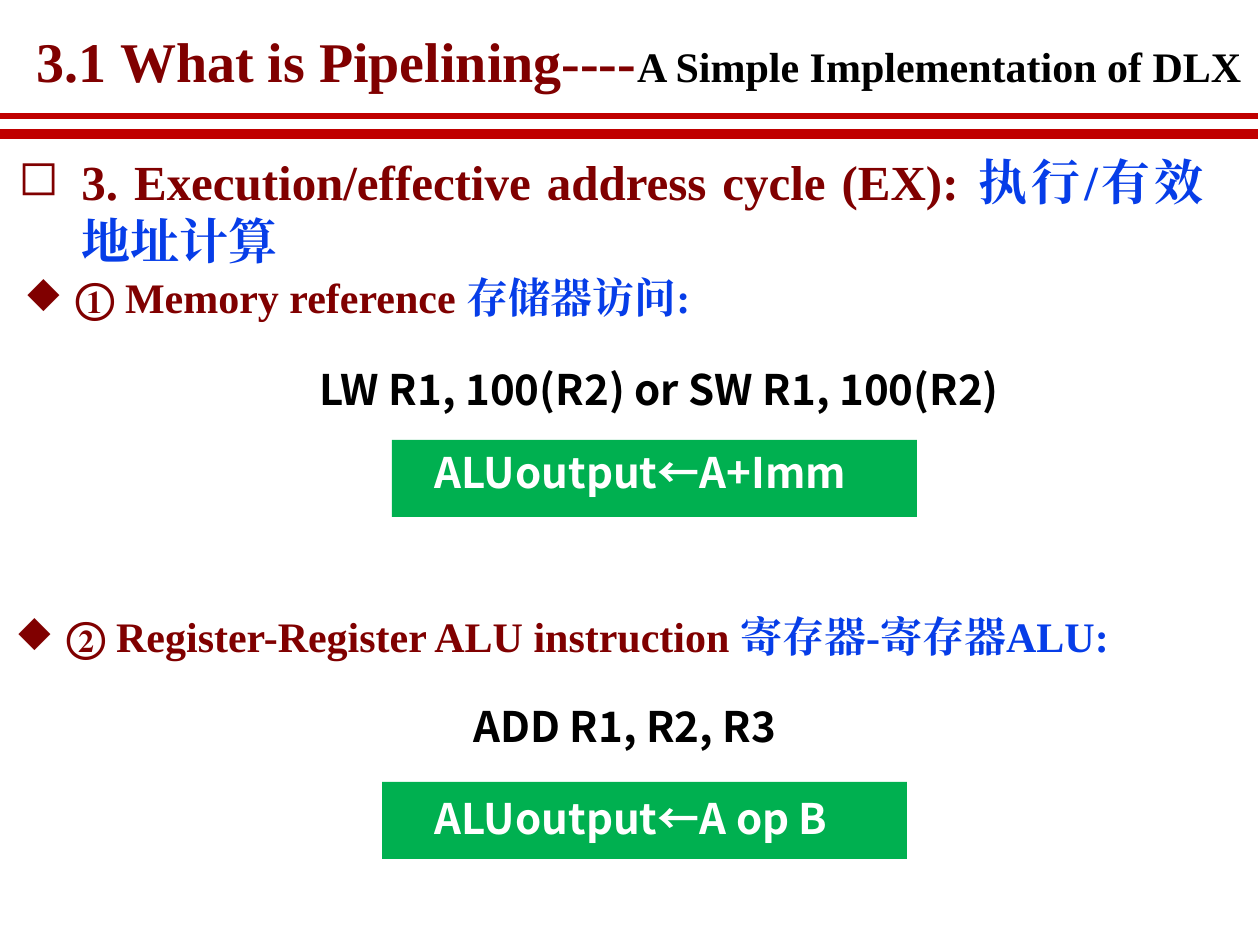
from pptx import Presentation
from pptx.dml.color import RGBColor
from pptx.enum.shapes import MSO_CONNECTOR, MSO_SHAPE
from pptx.enum.text import MSO_ANCHOR, MSO_AUTO_SIZE, PP_ALIGN
from pptx.oxml.ns import qn
from pptx.util import Emu, Pt

MAROON = RGBColor(0x80, 0x00, 0x00)
RED = RGBColor(0xC0, 0x00, 0x00)
BLUE = RGBColor(0x06, 0x3D, 0xE8)
GREEN = RGBColor(0x00, 0xB0, 0x50)
BLACK = RGBColor(0x00, 0x00, 0x00)
WHITE = RGBColor(0xFF, 0xFF, 0xFF)

STRAIGHT = MSO_CONNECTOR.STRAIGHT
RECTANGLE = MSO_SHAPE.RECTANGLE
GROW = MSO_AUTO_SIZE.SHAPE_TO_FIT_TEXT
TOP = MSO_ANCHOR.TOP
LEFT = PP_ALIGN.LEFT
JUSTIFY = PP_ALIGN.JUSTIFY

SERIF = "Times New Roman"
SANS = "Noto Sans CJK SC"
PX_PER_INCH = 126
TITLE_ONLY = 5


def px(length):
    return Emu(round(length * 914400 / PX_PER_INCH))


class SlideWriter:
    def __init__(self, slide):
        self.slide = slide

    def add_span(self, para, text, size, color, font=SERIF):
        span = para.add_run()
        span.text = text
        span.font.name = font
        span.font.size = Pt(size)
        span.font.bold = True
        span.font.color.rgb = color
        properties = span.font._element
        east_asian = properties.makeelement(qn("a:ea"), {"typeface": font})
        properties.find(qn("a:latin")).addnext(east_asian)

    def title(self, left, top, width, height, spans):
        box = self.slide.shapes.title
        box.left, box.top, box.width, box.height = map(px, (left, top, width, height))
        frame = box.text_frame
        frame.word_wrap = False
        frame.auto_size = MSO_AUTO_SIZE.NONE
        frame.vertical_anchor = TOP
        frame.margin_left = frame.margin_right = px(9)
        frame.margin_top = frame.margin_bottom = px(4)
        para = frame.paragraphs[0]
        para.alignment = LEFT
        para.line_spacing = 0.87
        for text, size, color in spans:
            self.add_span(para, text, size, color)

    def text(self, left, top, width, height):
        box = self.slide.shapes.add_textbox(*map(px, (left, top, width, height)))
        frame = box.text_frame
        frame.word_wrap = True
        frame.auto_size = GROW
        return frame.paragraphs[0]

    def bullet(self, left, top, width, height, mark, indent, size, english, chinese):
        para = self.text(left, top, width, height)
        para.alignment = JUSTIFY
        properties = para._p.get_or_add_pPr()
        properties.set("marL", str(px(indent)))
        properties.set("indent", str(-px(indent)))
        properties.append(properties.makeelement(qn("a:buChar"), {"char": mark}))
        self.add_span(para, english, size, MAROON)
        self.add_span(para, chinese, size, BLUE)

    def code(self, left, top, width, text, color=BLACK):
        self.add_span(self.text(left, top, width, 63), text, 24, color, SANS)

    def panel(self, left, top, width, height):
        panel = self.slide.shapes.add_shape(RECTANGLE, *map(px, (left, top, width, height)))
        panel.shadow.inherit = False
        panel.fill.solid()
        panel.fill.fore_color.rgb = GREEN
        panel.line.fill.background()

    def rule(self, top, weight):
        rule = self.slide.shapes.add_connector(STRAIGHT, px(-2), px(top), px(1258), px(top))
        rule.line.color.rgb = RED
        rule.line.width = Pt(weight)
        properties = rule._element.spPr
        properties.append(properties.makeelement(qn("a:effectLst"), {}))


def main():
    deck = Presentation()
    deck.slide_width, deck.slide_height = px(1260), px(945)
    page = SlideWriter(deck.slides.add_slide(deck.slide_layouts[TITLE_ONLY]))

    page.title(28, 32, 1236, 125, [
        ("3.1 What is Pipelining----", 32, MAROON),
        ("A Simple Implementation of DLX", 24, BLACK),
    ])
    page.rule(134, 6)
    page.rule(116, 3)

    page.bullet(6, 145, 1210, 132, "◻", 63, 28,
                "3. Execution/effective address cycle (EX): ", "执行/有效地址计算")

    page.bullet(15, 265, 1286, 63, "◆", 48, 24, "① Memory reference ", "存储器访问:")
    page.code(307, 357, 794, "LW R1, 100(R2) or SW R1, 100(R2)")
    page.panel(392, 440, 525, 77)
    page.code(422, 440, 566, "ALUoutput←A+Imm", WHITE)

    page.bullet(6, 604, 1210, 63, "◆", 48, 24,
                "② Register-Register ALU instruction ", "寄存器-寄存器ALU:")
    page.code(461, 694, 412, "ADD R1, R2, R3")
    page.panel(382, 782, 525, 77)
    page.code(422, 786, 566, "ALUoutput←A op B", WHITE)

    deck.save("out.pptx")


if __name__ == "__main__":
    main()
